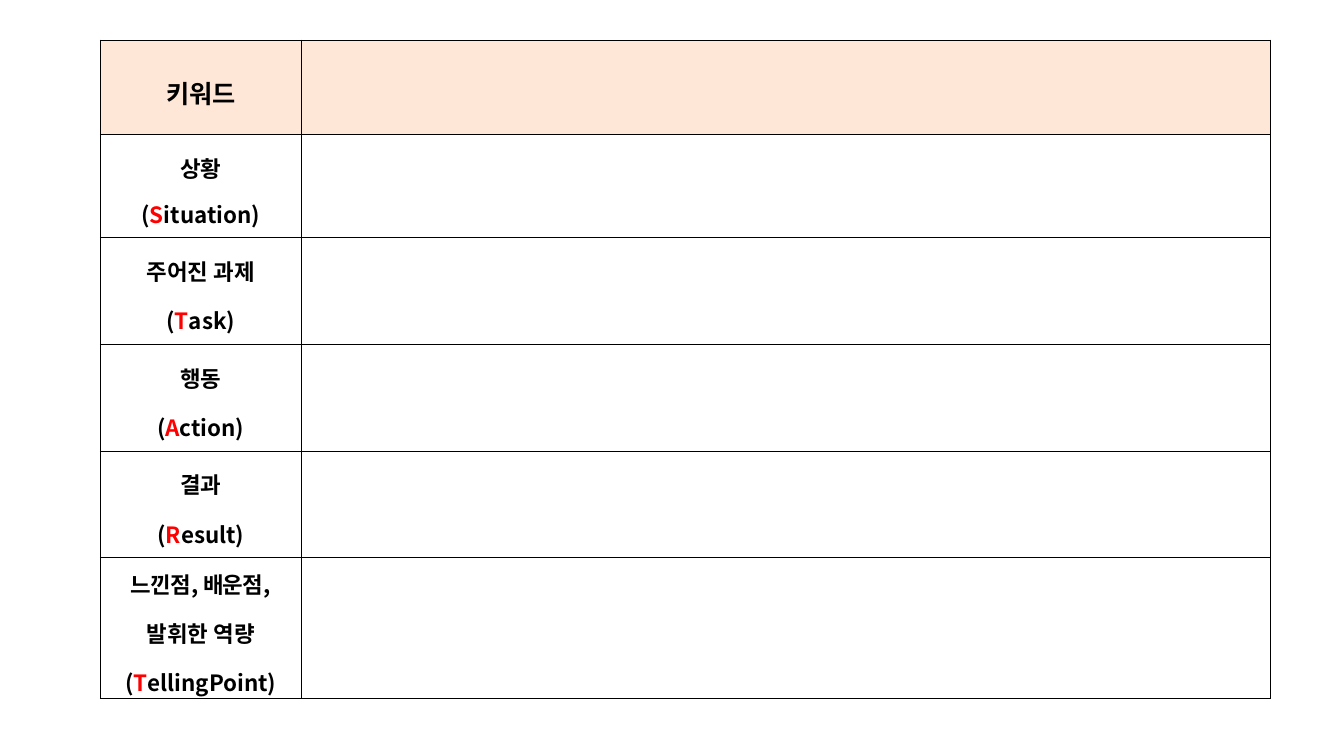
import pptx
import pptx.dml.color
import pptx.enum.text
import pptx.oxml
import pptx.oxml.ns
import pptx.util
from lxml import etree

Cm = pptx.util.Cm
Pt = pptx.util.Pt

FONT = "Noto Sans CJK KR"
COLORS = {"text": "000000", "initial": "FF0000", "header": "FFE7D8", "border": "000000"}
BORDER_WIDTH = Pt(0.28)
COLUMN_WIDTHS = [5.08, 24.4]

# Row height in cm, space before in points, Korean lines, English keyword
STAR_ROWS = [
    (2.59, 3.5, ["상황"], "Situation"),
    (2.69, 5.3, ["주어진 과제"], "Task"),
    (2.69, 5.3, ["행동"], "Action"),
    (2.67, 5.3, ["결과"], "Result"),
    (3.18, 4.9, ["느낀점, 배운점,", "발휘한 역량"], "TellingPoint"),
]
HEADER_HEIGHT = 2.39


def rgb(name):
    return pptx.dml.color.RGBColor.from_string(COLORS[name])


def add_text(paragraph, text, size=16, color="text", spacing=0):
    """Append a bold run; spacing is the letter spacing in points."""
    run = paragraph.add_run()
    run.text = text
    run.font.size = Pt(size)
    run.font.bold = True
    run.font.color.rgb = rgb(color)
    run.font.name = FONT
    properties = run.font._element
    etree.SubElement(properties, pptx.oxml.ns.qn("a:ea"), typeface=FONT)
    if spacing:
        properties.set("spc", str(round(spacing * 100)))


def add_lines(cell, count, space_before):
    """Return the cell's centred paragraphs."""
    frame = cell.text_frame
    paragraphs = [frame.paragraphs[0]] + [frame.add_paragraph() for _ in range(count - 1)]
    for paragraph in paragraphs:
        paragraph.alignment = pptx.enum.text.PP_ALIGN.CENTER
        paragraph.line_spacing = 1.3
        paragraph.space_before = Pt(space_before)
    return paragraphs


def format_cell(cell, fill=None):
    cell.margin_left = cell.margin_right = Cm(0.1)
    cell.margin_top = cell.margin_bottom = Cm(0.03)
    cell.vertical_anchor = pptx.enum.text.MSO_ANCHOR.MIDDLE
    # Borders come before the fill in the cell properties
    properties = cell._tc.get_or_add_tcPr()
    for side in ("lnL", "lnR", "lnT", "lnB"):
        line = etree.SubElement(properties, pptx.oxml.ns.qn(f"a:{side}"), w=str(BORDER_WIDTH))
        solid = etree.SubElement(line, pptx.oxml.ns.qn("a:solidFill"))
        etree.SubElement(solid, pptx.oxml.ns.qn("a:srgbClr"), val=COLORS["border"])
    if fill:
        cell.fill.solid()
        cell.fill.fore_color.rgb = rgb(fill)
    else:
        cell.fill.background()


def add_star_table(slide):
    heights = [HEADER_HEIGHT] + [row[0] for row in STAR_ROWS]
    frame = slide.shapes.add_table(
        len(heights), len(COLUMN_WIDTHS), Cm(2.52), Cm(1),
        Cm(sum(COLUMN_WIDTHS)), Cm(sum(heights)))
    table = frame.table
    table.first_row = table.horz_banding = False
    for column, width in zip(table.columns, COLUMN_WIDTHS):
        column.width = Cm(width)
    for index, (row, height) in enumerate(zip(table.rows, heights)):
        row.height = Cm(height)
        for cell in row.cells:
            format_cell(cell, fill="header" if index == 0 else None)
    return table


def fill_label(cell, space_before, korean_lines, keyword):
    """Korean lines, then the keyword in brackets with a red initial."""
    *korean, english = add_lines(cell, len(korean_lines) + 1, space_before)
    for paragraph, line in zip(korean, korean_lines):
        add_text(paragraph, line, spacing=-0.4 if "," in line else 0)
    add_text(english, "(")
    add_text(english, keyword[0], color="initial")
    add_text(english, keyword[1:] + ")")


def main():
    presentation = pptx.Presentation()
    presentation.slide_width = Cm(33.87)
    presentation.slide_height = Cm(19.05)
    slide = presentation.slides.add_slide(presentation.slide_layouts[6])

    # Table grid
    table = add_star_table(slide)

    # Header label
    header = add_lines(table.cell(0, 0), 1, space_before=13.2)[0]
    add_text(header, "키워드", size=18)

    # Row labels
    for index, (_, space_before, korean_lines, keyword) in enumerate(STAR_ROWS, start=1):
        fill_label(table.cell(index, 0), space_before, korean_lines, keyword)

    presentation.save("out.pptx")


if __name__ == "__main__":
    main()
